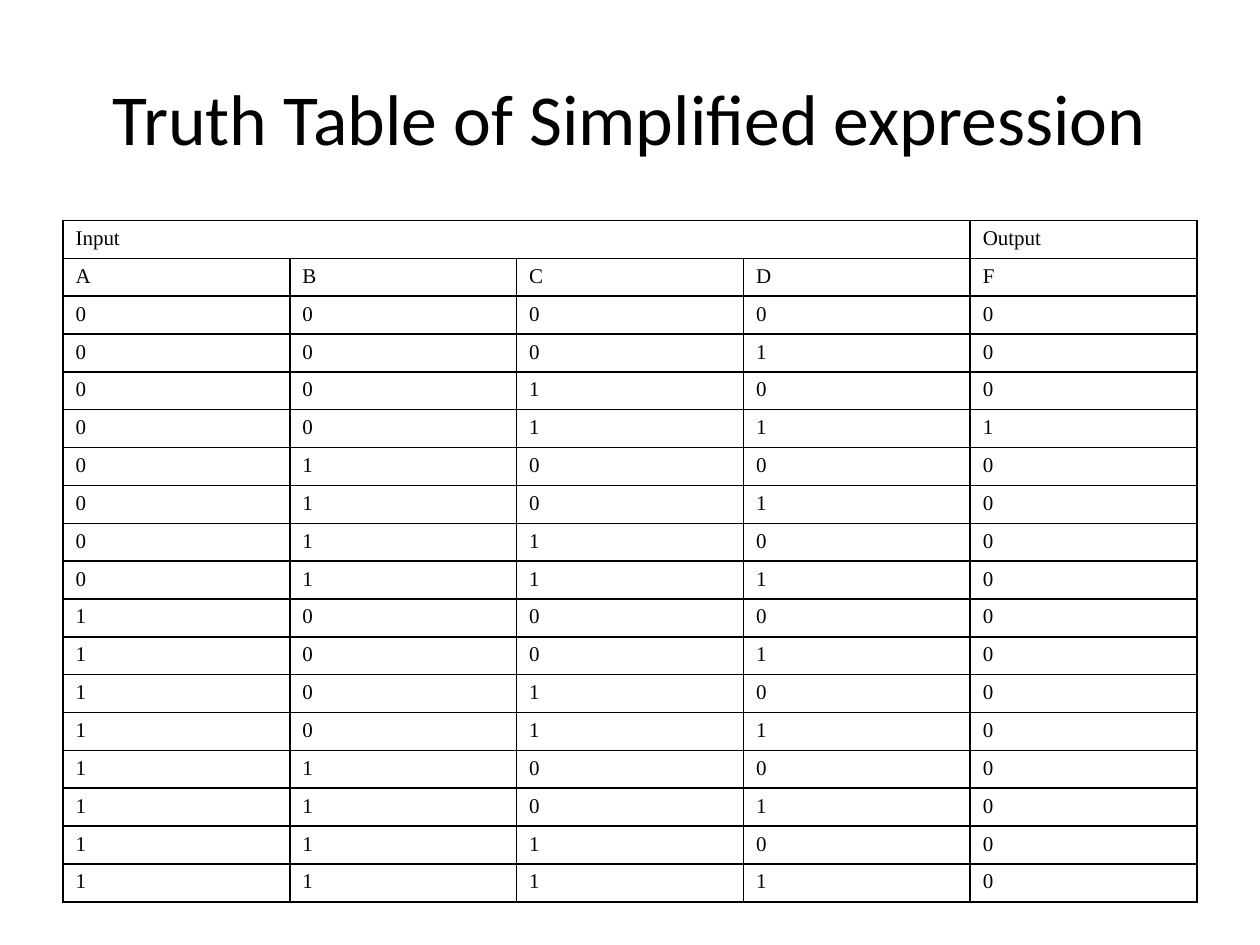
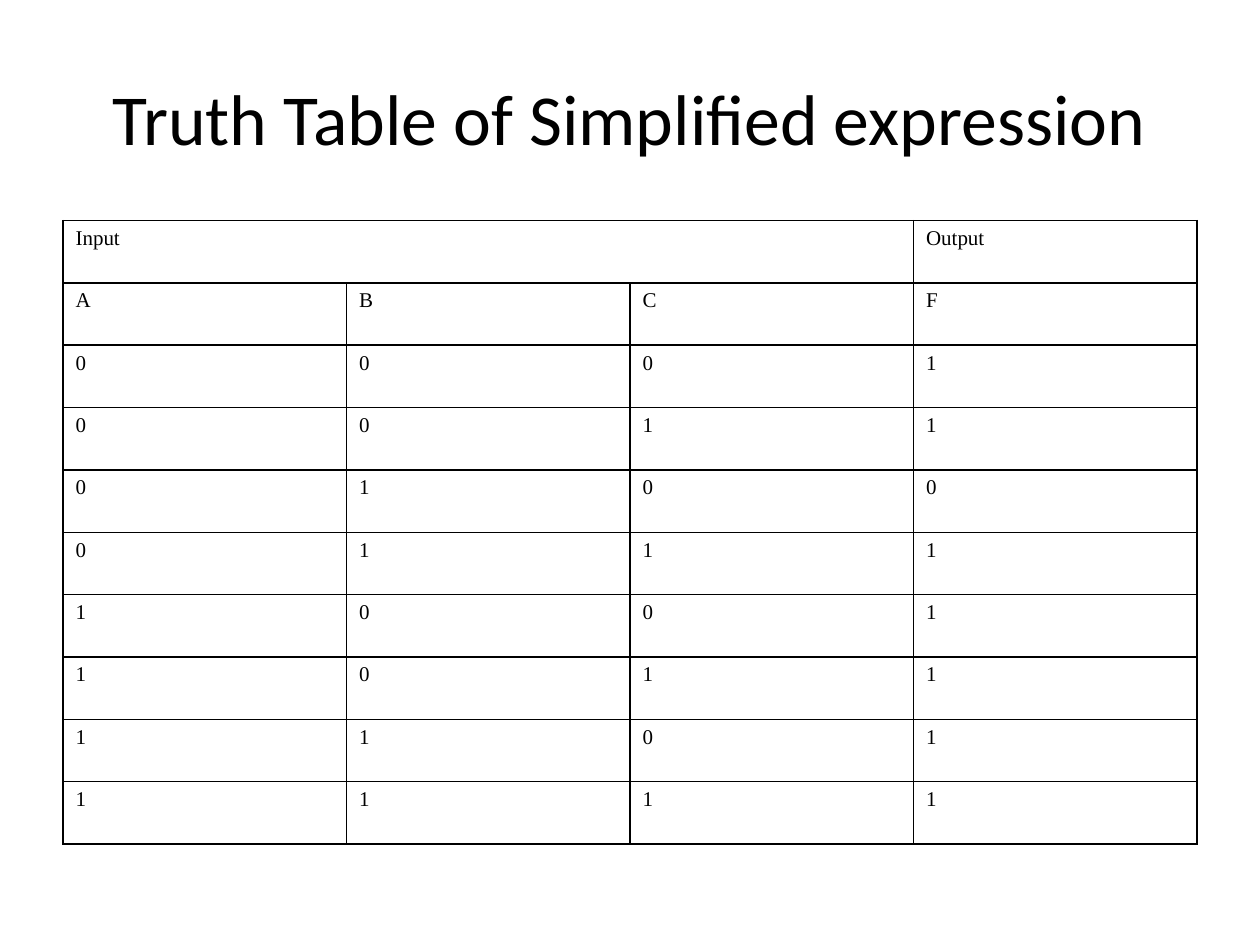
from dataclasses import dataclass
from itertools import product

from lxml.etree import SubElement as Sub
from pptx import Presentation
from pptx.dml.color import RGBColor as Rgb
from pptx.enum.text import MSO_ANCHOR as Anchor, PP_ALIGN as Align
from pptx.oxml.ns import qn
from pptx.util import Pt

PX = 9144  # EMU, at 100 px to the inch
COLORS = {"ink": "000000"}
TITLE_FONT = "Calibri"
CELL_FONT = "Times New Roman"
TITLE = "Truth Table of Simplified expression"
LEFT, WIDTH = 50, 900
TITLE_TOP, TITLE_HEIGHT = 30, 125
TABLE_TOP = 175
SIDES = ("a:lnL", "a:lnR", "a:lnT", "a:lnB")


@dataclass(frozen=True)
class Truth:
    """Truth table whose results follow the inputs in counting order."""
    inputs: str
    results: str
    height: int
    indent: int = 0

    def rows(self) -> list[list[str]]:
        count = len(self.inputs)
        top = ["Input"] + [""] * (count - 1) + ["Output"]
        bits = product("01", repeat=count)
        body = [[*row, out] for row, out in zip(bits, self.results)]
        return [top, [*self.inputs, "F"], *body]


TABLES = (
    Truth("ABCD", "0001000000000000", height=540, indent=38),
    Truth("ABC", "11011111", height=495),
)


def style(para, font: str, size: int, align) -> None:
    para.alignment = align
    para.font.name = font
    para.font.size = Pt(size)
    para.font.color.rgb = Rgb.from_string(COLORS["ink"])


def add_title(slide) -> None:
    box = slide.shapes.add_textbox(LEFT * PX, TITLE_TOP * PX,
                                   WIDTH * PX, TITLE_HEIGHT * PX)
    frame = box.text_frame
    frame.word_wrap = True
    frame.vertical_anchor = Anchor.MIDDLE
    frame.text = TITLE
    style(frame.paragraphs[0], TITLE_FONT, 41, Align.CENTER)


def add_border(cell) -> None:
    props = cell._tc.get_or_add_tcPr()
    for side in SIDES:
        line = Sub(props, qn(side), w=str(Pt(1)))
        fill = Sub(line, qn("a:solidFill"))
        Sub(fill, qn("a:srgbClr"), val=COLORS["ink"])


def fill_cell(cell, text: str, indent: int) -> None:
    add_border(cell)
    cell.fill.background()
    cell.text = text
    para = cell.text_frame.paragraphs[0]
    if indent:
        props = para._p.get_or_add_pPr()
        props.set("marL", str(indent * PX))
        props.set("indent", str(-indent * PX))
    style(para, CELL_FONT, 12, Align.JUSTIFY)


def add_truth(slide, truth: Truth) -> None:
    rows = truth.rows()
    count = len(rows[0])
    table = slide.shapes.add_table(len(rows), count, LEFT * PX, TABLE_TOP * PX,
                                   WIDTH * PX, truth.height * PX).table
    table.first_row = table.horz_banding = False
    for r, row in enumerate(rows):
        for c, text in enumerate(row):
            fill_cell(table.cell(r, c), text, truth.indent)
    table.cell(0, 0).merge(table.cell(0, count - 2))


def main() -> None:
    deck = Presentation()
    deck.slide_width, deck.slide_height = 1000 * PX, 750 * PX
    for truth in TABLES:
        slide = deck.slides.add_slide(deck.slide_layouts[6])
        add_title(slide)
        add_truth(slide, truth)
    deck.save("out.pptx")


if __name__ == "__main__":
    main()
